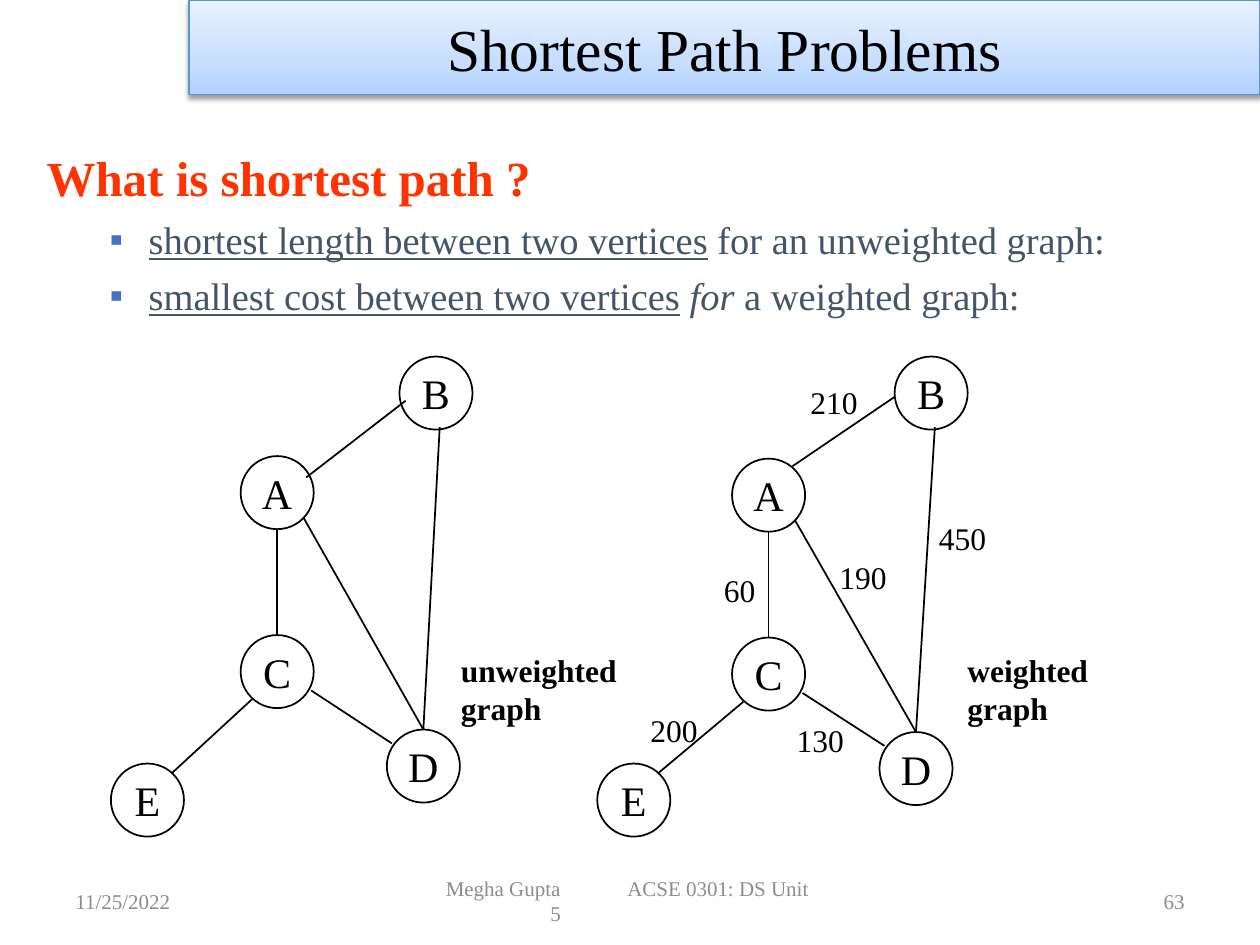
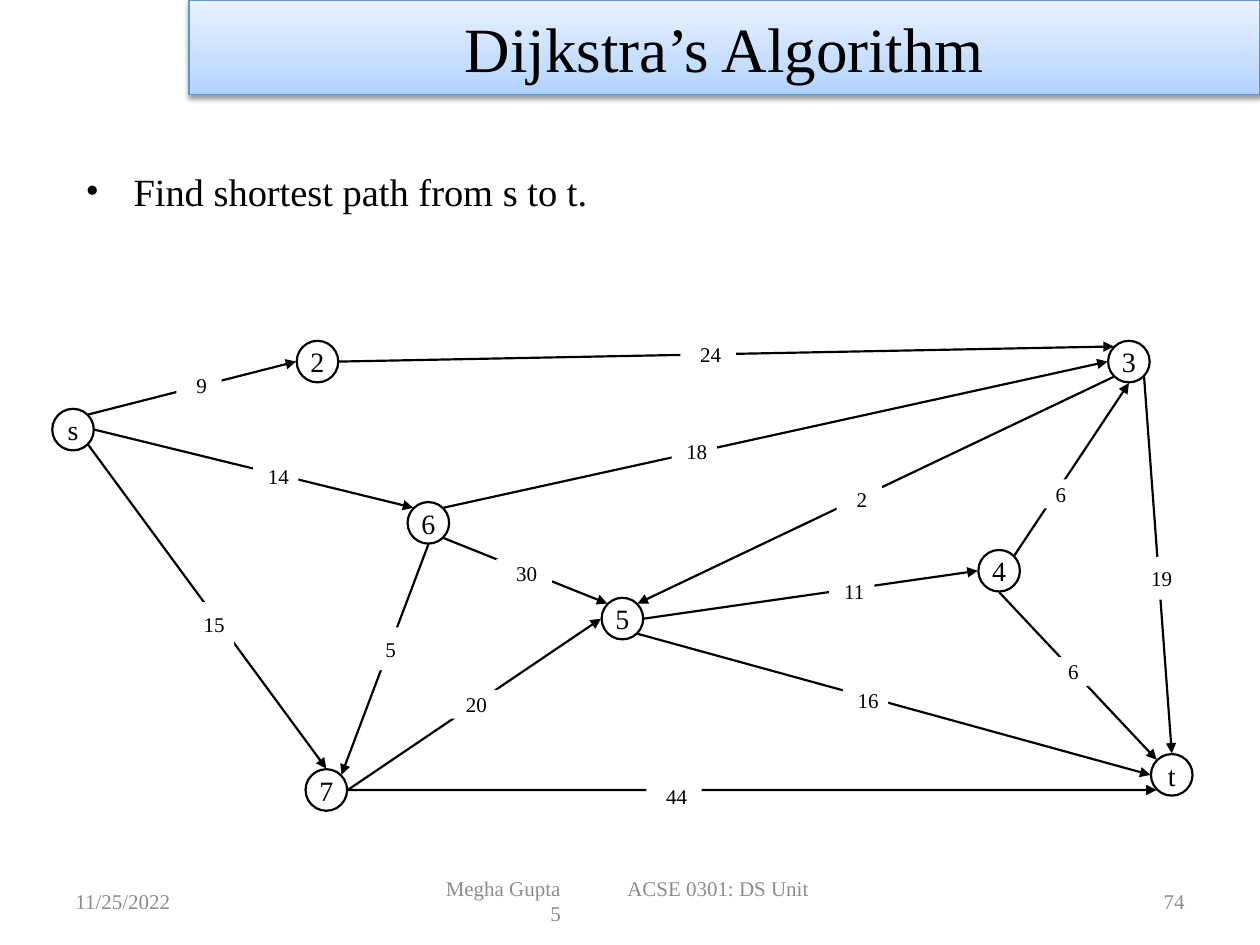
from math import cos, radians, sin

from lxml import etree
from pptx import Presentation
from pptx.dml.color import RGBColor
from pptx.enum.shapes import MSO_CONNECTOR, MSO_SHAPE
from pptx.enum.text import MSO_ANCHOR, MSO_AUTO_SIZE, PP_ALIGN
from pptx.oxml import parse_xml
from pptx.oxml.ns import nsdecls, qn
from pptx.util import Inches, Pt

LEFT, MID, RIGHT = PP_ALIGN.LEFT, PP_ALIGN.CENTER, PP_ALIGN.RIGHT
TOP, CENTER = MSO_ANCHOR.TOP, MSO_ANCHOR.MIDDLE
FONT = "Times New Roman"
COLORS = {"ink": "000000", "paper": "FFFFFF", "ask": "FF3300", "point": "44546A",
          "bullet": "4472C4", "foot": "8C8C8C", "edge": "5698D3"}
BAND = [(0, "B0D2FF"), (35, "C7DEFF"), (100, "EAF2FF")]
DATE = "11/25/2022"

# Points: (text, style) runs
ASK = "What is shortest path ?"
POINTS = [
    [("shortest length between two vertices", "u"), (" for an unweighted graph:", "")],
    [("smallest cost between two vertices", "u"), (" for", "i"),
     (" a weighted graph:", "")],
]
TASK = "Find shortest path from s to t."

# Node centres, the A-B line, the caption and the weights of each graph
GRAPHS = [
    {"nodes": {"A": (2.2, 3.91), "B": (3.46, 3.12), "C": (2.2, 5.33),
               "D": (3.36, 6.08), "E": (1.17, 6.35)},
     "ab": ((0.23, -0.12), (-0.24, 0.06)),
     "caption": ("unweighted graph", 3.56, 1.65), "weights": []},
    {"nodes": {"A": (6.1, 3.93), "B": (7.39, 3.12), "C": (6.1, 5.35),
               "D": (7.27, 6.1), "E": (5.03, 6.35)},
     "ab": ((0.19, -0.23), (-0.29, 0.03)),
     "caption": ("weighted graph", 7.58, 1.57),
     "weights": [("200", 5.35, 5.79), ("60", 5.87, 4.68), ("130", 6.51, 5.87),
                 ("190", 6.85, 4.58), ("450", 7.64, 4.27), ("210", 6.62, 3.19)]},
]
# Line ends as offsets from the node centres
LINKS = [
    ("D", (0, -0.29), "B", (0.03, 0.27)),
    ("A", (0.21, 0.2), "D", (0, -0.29)),
    ("A", (0, 0.29), "C", (0, -0.29)),
    ("E", (0.19, -0.21), "C", (-0.2, 0.22)),
    ("C", (0.27, 0.15), "D", (-0.25, -0.18)),
]

NODES = {"s": (0.58, 3.41), "2": (2.52, 2.87), "3": (8.96, 2.87), "4": (7.93, 4.53),
         "5": (4.94, 4.91), "6": (3.4, 4.15), "7": (2.59, 6.27), "t": (9.3, 6.15)}
SIDES = {"E": 0, "SE": 45, "S": 90, "SW": 135, "W": 180, "NW": 225, "N": 270, "NE": 315}
# From, side, to, side, cost, centre and size of the cost label
SMALL, WIDE, TALL = (0.36, 0.23), (0.44, 0.23), (0.36, 0.34)
ARROWS = [
    ("s", "NE", "2", "W", "9", (1.58, 3.06), SMALL),
    ("s", "E", "6", "NW", "14", (2.19, 3.78), SMALL),
    ("s", "SE", "7", "N", "15", (1.68, 4.95), TALL),
    ("6", "NE", "3", "W", "18", (5.51, 3.58), SMALL),
    ("4", "NE", "3", "S", "6", (8.4, 3.92), SMALL),
    ("6", "SE", "5", "NW", "30", (4.16, 4.55), WIDE),
    ("5", "SE", "t", "W", "16", (6.87, 5.56), SMALL),
    ("5", "E", "4", "W", "11", (6.76, 4.69), SMALL),
    ("4", "S", "t", "NW", "6", (8.5, 5.33), SMALL),
    ("3", "SW", "5", "NE", "2", (6.82, 3.96), SMALL),
    ("6", "S", "7", "NE", "5", (3.08, 5.15), TALL),
    ("7", "E", "5", "W", "20", (3.76, 5.59), WIDE),
    ("2", "E", "3", "NW", "24", (5.62, 2.81), WIDE),
    ("7", "E", "t", "SW", "44", (5.35, 6.32), WIDE),
    ("3", "SE", "t", "N", "19", (9.2, 4.59), TALL),
]


def rgb(name):
    return RGBColor.from_string(COLORS[name])


def put(para, text, size, color="ink", style=""):
    """Add a run; style letters are b, i and u."""
    run = para.add_run()
    run.text = text
    font = run.font
    font.name, font.size = FONT, Pt(size)
    font.color.rgb = rgb(color)
    font.bold, font.italic, font.underline = ("b" in style, "i" in style, "u" in style)


def place(shape, x, y, w, h):
    shape.left, shape.top, shape.width, shape.height = map(Inches, (x, y, w, h))


def frame(shape, align=LEFT, anchor=TOP, wrap=True):
    """Ready the text frame and return its first paragraph."""
    box = shape.text_frame
    box.word_wrap, box.vertical_anchor = wrap, anchor
    box.auto_size = MSO_AUTO_SIZE.NONE
    para = box.paragraphs[0]
    para.alignment = align
    para.space_before = Pt(0)
    return para


def label(slide, text, box, size, color="ink", style="", align=LEFT, anchor=TOP,
          wrap=True):
    shape = slide.shapes.add_textbox(*map(Inches, box))
    put(frame(shape, align, anchor, wrap), text, size, color, style)
    return shape


def around(center, w, h):
    return center[0] - w / 2, center[1] - h / 2, w, h


def node(slide, name, center, side, size, width, fill=None):
    shape = slide.shapes.add_shape(MSO_SHAPE.OVAL, *map(Inches, around(center, side, side)))
    shape.shadow.inherit = False
    if fill:
        shape.fill.solid()
        shape.fill.fore_color.rgb = rgb(fill)
    else:
        shape.fill.background()
    shape.line.color.rgb = rgb("ink")
    shape.line.width = Pt(width)
    put(frame(shape, MID, CENTER, False), name, size)


def line(slide, start, end, width, head=False):
    link = slide.shapes.add_connector(MSO_CONNECTOR.STRAIGHT,
                                      *map(Inches, (*start, *end)))
    link.line.color.rgb = rgb("ink")
    link.line.width = Pt(width)
    if head:
        etree.SubElement(link.line._get_or_add_ln(), qn("a:tailEnd"), type="triangle")
    etree.SubElement(link._element.spPr, qn("a:effectLst"))


def indent(para, left, mark=None, hang=0.0, color="ink"):
    props = para._p.get_or_add_pPr()
    props.set("marL", str(Inches(left)))
    props.set("indent", str(-Inches(hang)))
    if mark:
        tint = etree.SubElement(props, qn("a:buClr"))
        etree.SubElement(tint, qn("a:srgbClr"), val=COLORS[color])
        etree.SubElement(props, qn("a:buFont"), typeface=FONT)
        etree.SubElement(props, qn("a:buChar"), char=mark)
    else:
        etree.SubElement(props, qn("a:buNone"))


def band(title):
    """Give the title its gradient, edge and shadow."""
    place(title, 1.5, 0, 8.5, 0.75)
    stops = "".join(f'<a:gs pos="{pos * 1000}"><a:srgbClr val="{tone}"/></a:gs>'
                    for pos, tone in BAND)
    props = title._element.spPr
    props.append(parse_xml(f'<a:gradFill {nsdecls("a")} rotWithShape="1"><a:gsLst>{stops}'
                           '</a:gsLst><a:lin ang="16200000" scaled="0"/></a:gradFill>'))
    title.line.color.rgb = rgb("edge")
    title.line.width = Pt(0.75)
    props.append(parse_xml(
        f'<a:effectLst {nsdecls("a")}><a:outerShdw blurRad="{Pt(3.1)}" dist="{Pt(1.6)}" '
        f'dir="5400000" rotWithShape="0"><a:srgbClr val="{COLORS["ink"]}">'
        '<a:alpha val="38000"/></a:srgbClr></a:outerShdw></a:effectLst>'))


def footer(slide, number):
    look = {"size": 12, "color": "foot", "anchor": CENTER}
    label(slide, DATE, (0.5, 6.95, 2.33, 0.4), **look)
    label(slide, number, (7.17, 6.95, 2.33, 0.4), align=RIGHT, **look)
    course = label(slide, "Megha Gupta\tACSE 0301: DS Unit", (3.44, 6.95, 3.17, 0.4), **look)
    para = course.text_frame.paragraphs[0]
    tabs = etree.SubElement(para._p.get_or_add_pPr(), qn("a:tabLst"))
    for stop in (0.83, 1.44):
        etree.SubElement(tabs, qn("a:tab"), pos=str(Inches(stop)), algn="l")
    para.add_line_break()
    put(para, "\t5", 12, "foot")


def start(deck, title, size, number):
    """Add a slide with its band and footer; return it and its body."""
    slide = deck.slides.add_slide(deck.slide_layouts[1])
    band(slide.shapes.title)
    put(frame(slide.shapes.title, MID, CENTER), title, size)
    footer(slide, number)
    return slide, slide.placeholders[1]


def draw_paths(deck):
    slide, body = start(deck, "Shortest Path Problems", 34, "63")
    place(body, 0.27, 1.12, 9.06, 1.6)
    para = frame(body)
    indent(para, 0)
    put(para, ASK, 28, "ask", "b")
    for runs in POINTS:
        para = body.text_frame.add_paragraph()
        para.level = 1
        indent(para, 0.81, "▪", 0.31, "bullet")
        para.space_before = Pt(5.6)
        for text, style in runs:
            put(para, text, 22, "point", style)
    for graph in GRAPHS:
        nodes = graph["nodes"]
        for name, center in nodes.items():
            node(slide, name, center, 0.58, 24, 1)
        near, far = graph["ab"]
        for a, da, b, db in LINKS + [("A", near, "B", far)]:
            ends = [(nodes[n][0] + d[0], nodes[n][1] + d[1]) for n, d in ((a, da), (b, db))]
            line(slide, *ends, 1)
        for cost, *center in graph["weights"]:
            label(slide, cost, around(center, 0.58, 0.4), 18, align=MID, wrap=False)
        text, x, w = graph["caption"]
        label(slide, text, (x, 5.12, w, 0.7), 18, style="b")


def rim(name, side):
    """Point on a node's edge at a compass side."""
    x, y = NODES[name]
    turn = radians(SIDES[side])
    return x + 0.17 * cos(turn), y + 0.17 * sin(turn)


def draw_search(deck):
    slide, body = start(deck, "Dijkstra’s Algorithm", 36, "74")
    place(body, 0.58, 1.28, 9, 1.2)
    para = frame(body)
    indent(para, 0.38, "•", 0.38)
    put(para, TASK, 22)
    for name, center in NODES.items():
        node(slide, name, center, 0.33, 16, 1.25, "paper")
    for a, side, b, end, *_ in ARROWS:
        line(slide, rim(a, side), rim(b, end), 1.25, True)
    for *_, cost, center, size in ARROWS:
        tag = label(slide, cost, around(center, *size), 12, align=MID, anchor=CENTER)
        tag.fill.solid()
        tag.fill.fore_color.rgb = rgb("paper")
        box = tag.text_frame
        box.margin_left = Inches(0.04)
        box.margin_right = box.margin_top = box.margin_bottom = 0


def main():
    deck = Presentation()
    deck.slide_width, deck.slide_height = Inches(10), Inches(7.5)
    draw_paths(deck)
    draw_search(deck)
    deck.save("out.pptx")


if __name__ == "__main__":
    main()
